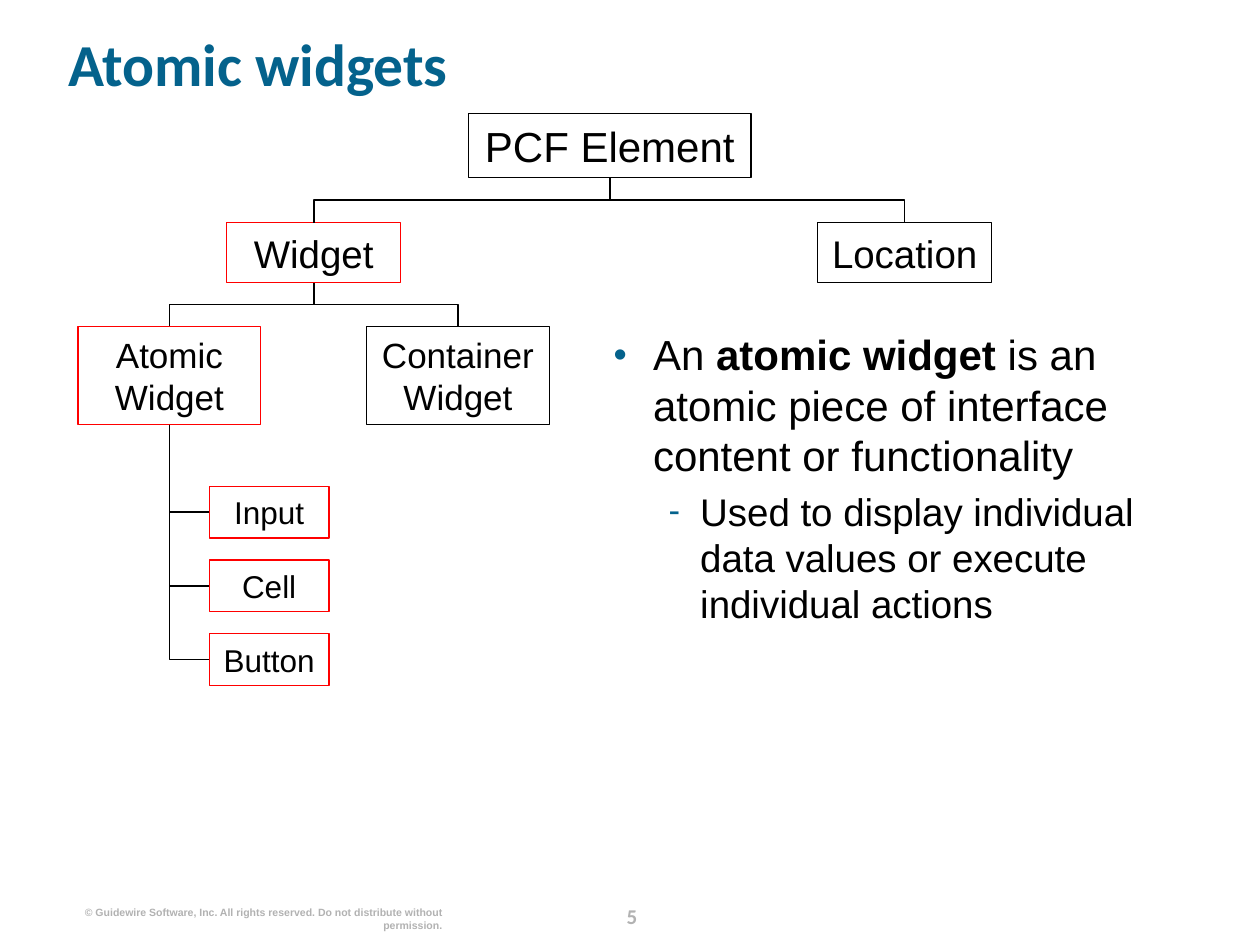
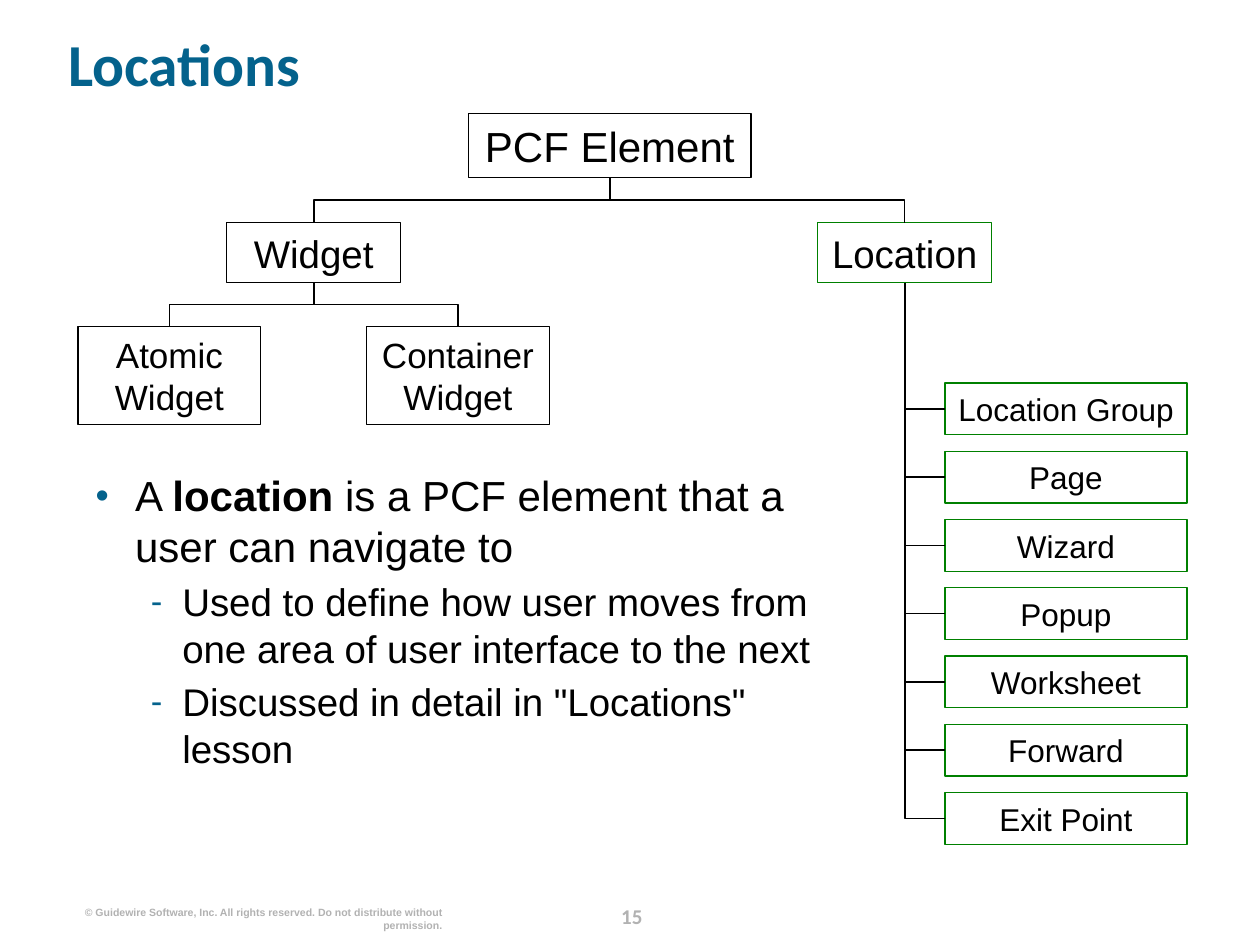
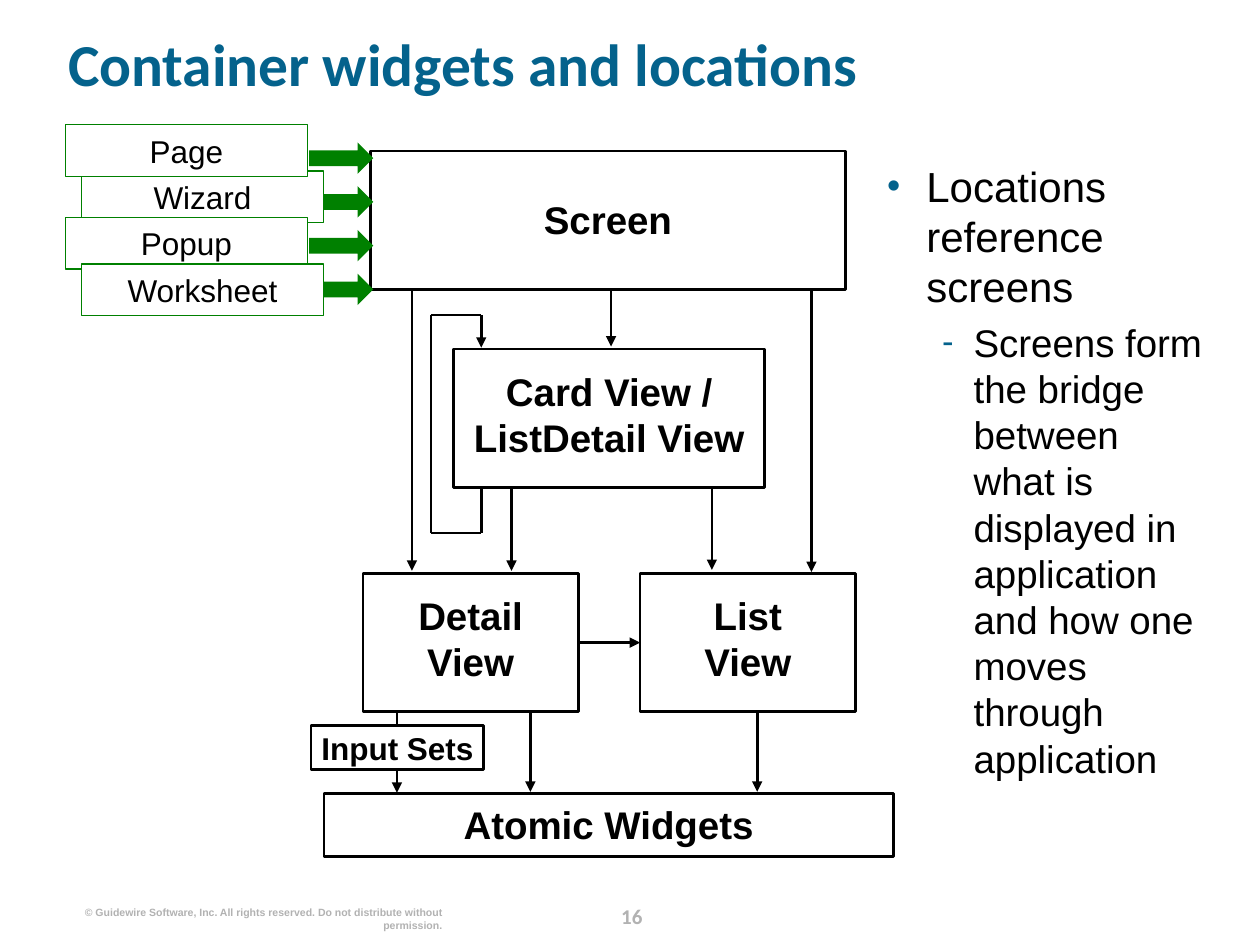
from lxml.etree import SubElement
from pptx import Presentation
from pptx.dml.color import RGBColor
from pptx.enum.shapes import MSO_CONNECTOR, MSO_SHAPE
from pptx.enum.text import MSO_ANCHOR, PP_ALIGN
from pptx.oxml.ns import qn
from pptx.shapes.connector import Connector
from pptx.util import Pt

BLACK, WHITE, RED, GREEN = "000000", "FFFFFF", "FF0000", "008000"
BLUE, GRAY = "04628C", "B2B2B2"
COPYRIGHT = ("© Guidewire Software, Inc. All rights reserved. "
             "Do not distribute without permission.")
color = RGBColor.from_string


def add_box(slide, text, place, size, outline=BLACK, bold=False, lift=0):
    """Add an outlined rectangle; lift raises its centred text by that many points."""
    shape = slide.shapes.add_shape(MSO_SHAPE.RECTANGLE, *map(Pt, place))
    shape.shadow.inherit = False
    shape.fill.background()
    shape.line.color.rgb = color(outline)
    shape.line.width = Pt(1.5 if bold else 0.75)
    frame = shape.text_frame
    frame.word_wrap = True
    frame.vertical_anchor = MSO_ANCHOR.MIDDLE
    frame.margin_left = frame.margin_right = Pt(1.5 if bold else 7.2)
    frame.margin_top = 0
    frame.margin_bottom = Pt(2 * lift)
    paragraph = frame.paragraphs[0]
    paragraph.text = text
    paragraph.alignment = PP_ALIGN.CENTER
    paragraph.font.name = "Arial"
    paragraph.font.size = Pt(size)
    paragraph.font.bold = bold
    paragraph.font.color.rgb = color(BLACK)
    return shape


def join_elbow(slide, parent, child, side):
    """Join the bottom of parent to a side of child, leaving downwards."""
    connector = slide.shapes.add_connector(MSO_CONNECTOR.ELBOW, 0, 0, 0, 0)
    connector.begin_connect(parent, 2)
    connector.end_connect(child, side)
    across = connector.end_x - connector.begin_x
    down = connector.end_y - connector.begin_y
    center_x = (connector.begin_x + connector.end_x) // 2
    center_y = (connector.begin_y + connector.end_y) // 2
    # A downward start is a horizontal elbow turned by a quarter.
    connector.left, connector.top = center_x - down // 2, center_y - abs(across) // 2
    connector.width, connector.height = down, abs(across)
    properties = connector._element.spPr
    transform = properties.find(qn("a:xfrm"))
    transform.attrib.clear()
    transform.set("rot", "5400000" if across < 0 else "16200000")
    if across >= 0:
        transform.set("flipH", "1")
    if side == 1:
        properties.find(qn("a:prstGeom")).set("prst", "bentConnector2")
    connector.line.width = Pt(1)


presentation = Presentation()
presentation.slide_width, presentation.slide_height = Pt(720), Pt(540)

# Title, number, body place, and body paragraphs as (level, text with |bold| parts)
pages = [
    ("Atomic widgets", "5", (350.64, 187.92, 344.88, 315.36), [
        (0, "An |atomic widget| is an atomic piece of interface content or functionality"),
        (1, "Used to display individual data values or execute individual actions")]),
    ("Locations", "15", (54.72, 268.56, 427.68, 234.72), [
        (0, "A |location| is a PCF element that a user can navigate to"),
        (1, "Used to define how user moves from one area of user interface to the next"),
        (1, 'Discussed in detail in "Locations" lesson')]),
    ("Container widgets and locations", "16", (506.88, 91.44, 184.32, 411.84), [
        (0, "Locations reference screens"),
        (1, "Screens form the bridge between what is displayed in application "
            "and how one moves through application")]),
]
# Bullet, left margin, hanging indent, font size, space before
levels = [("•", 22.5, 22.5, 24, 9.6), ("-", 49.5, 18, 22, 4.4)]

for title, number, body_place, body in pages:
    slide = presentation.slides.add_slide(presentation.slide_layouts[6])
    fixed_texts = [
        (number, (340.56, 512.5, 41.04, 18), "Calibri", 12, GRAY, PP_ALIGN.CENTER, Pt(18)),
        (COPYRIGHT, (43.92, 517.68, 208.8, 14.4), "Arial", 6, GRAY, PP_ALIGN.RIGHT, 1.0),
        (title, (38.88, 9.36, 655.2, 58.32), "Calibri", 34, BLUE, PP_ALIGN.LEFT, 0.9),
    ]
    for text, place, font, size, ink, alignment, spacing in fixed_texts:
        frame = slide.shapes.add_textbox(*map(Pt, place)).text_frame
        frame.margin_left = frame.margin_right = frame.margin_top = frame.margin_bottom = 0
        frame.word_wrap = True
        frame.vertical_anchor = MSO_ANCHOR.MIDDLE if text == title else MSO_ANCHOR.TOP
        paragraph = frame.paragraphs[0]
        paragraph.text = text
        paragraph.alignment = alignment
        paragraph.line_spacing = spacing
        paragraph.font.name = font
        paragraph.font.size = Pt(size)
        paragraph.font.bold = True
        paragraph.font.color.rgb = color(ink)

    frame = slide.shapes.add_textbox(*map(Pt, body_place)).text_frame
    frame.margin_left = frame.margin_right = frame.margin_top = frame.margin_bottom = 0
    frame.word_wrap = True
    for index, (level, text) in enumerate(body):
        bullet, margin, hanging, size, space = levels[level]
        paragraph = frame.add_paragraph() if index else frame.paragraphs[0]
        paragraph.level = level
        properties = paragraph._p.get_or_add_pPr()
        properties.set("marL", str(Pt(margin)))
        properties.set("indent", str(-Pt(hanging)))
        bullet_color = SubElement(properties, qn("a:buClr"))
        SubElement(bullet_color, qn("a:srgbClr"), val=BLUE)
        SubElement(properties, qn("a:buSzPct"), val="90000")
        SubElement(properties, qn("a:buFont"), typeface="Arial")
        SubElement(properties, qn("a:buChar"), char=bullet)
        if index:
            paragraph.space_before = Pt(space)
        paragraph.font.name = "Arial"
        paragraph.font.size = Pt(size)
        paragraph.font.color.rgb = color(BLACK)
        for part, words in enumerate(text.split("|")):
            run = paragraph.add_run()
            run.text = words
            if part % 2:
                run.font.bold = True

atomic_slide, locations_slide, container_slide = presentation.slides

# Element tree of the first two slides, with the highlighted branch in colour
tree = [
    ("PCF Element", None, (267.84, 64.8, 161.28, 36.72), 24),
    ("Widget", "PCF Element", (129.6, 127.2, 99.36, 34.4), 22),
    ("Location", "PCF Element", (467.28, 127.2, 99.36, 34.4), 22),
    ("Atomic Widget", "Widget", (44.64, 186.48, 104.4, 56.16), 20),
    ("Container Widget", "Widget", (209.52, 186.48, 104.4, 56.16), 20),
]
# Highlighted boxes, their colour, and the left, top, width and pitch of the leaves
branches = [
    (atomic_slide, ["Widget", "Atomic Widget"], RED,
     ["Input", "Cell", "Button"], (119.6, 277.9, 68.4, 42.1)),
    (locations_slide, ["Location"], GREEN,
     ["Location Group", "Page", "Wizard", "Popup", "Worksheet", "Forward", "Exit Point"],
     (540, 218.9, 138.24, 39)),
]
LEAF_HEIGHT = 29.5
for slide, highlighted, accent, leaves, (left, top, width, pitch) in branches:
    boxes = {}
    for name, parent, place, size in tree:
        outline = accent if name in highlighted else BLACK
        boxes[name] = add_box(slide, name, place, size, outline)
        if parent:
            join_elbow(slide, boxes[parent], boxes[name], 0)
    for row, leaf in enumerate(leaves):
        place = (left, top + row * pitch, width, LEAF_HEIGHT)
        box = add_box(slide, leaf, place, 18, accent)
        join_elbow(slide, boxes[highlighted[-1]], box, 1)

# Container diagram
containers = [
    ("Screen", (211.68, 86.4, 271.44, 79.2), 1),
    ("Card View / ListDetail View", (259.2, 199.44, 177.84, 79.2), 2.5),
    ("Detail\vView", (207.36, 327.6, 123.12, 79.2), 2.5),
    ("List\vView", (365.76, 327.6, 123.12, 79.2), 2.5),
    ("Atomic Widgets", (185.04, 453.6, 325.44, 36), 0.5),
]
views = [add_box(container_slide, name, place, 22, bold=True, lift=lift)
         for name, place, lift in containers]

# From x, from y, to x, to y, arrowhead
flows = [
    (226.8, 407, 226.8, 453, True),
    (303.1, 407, 303.1, 452.5, True),
    (432.7, 407, 432.7, 452.5, True),
    (292.3, 278.6, 292.3, 326.2, True),
    (406.8, 278.6, 406.8, 325.7, True),
    (349.2, 165.6, 349.2, 198, True),
    (235.4, 165.6, 235.4, 326.2, True),
    (463.7, 165.6, 463.7, 326.9, True),
    (275, 278.6, 275, 304.6, False),
    (275, 304.6, 246.2, 304.6, False),
    (246.2, 304.6, 246.2, 180, False),
    (246.2, 180, 275, 180, False),
    (275, 180, 275, 198.7, True),
    (330.48, 367.2, 365.76, 367.2, True),
]
for *ends, has_head in flows:
    connector = container_slide.shapes.add_connector(MSO_CONNECTOR.STRAIGHT, *map(Pt, ends))
    connector.line.width = Pt(1.5)
    if has_head:
        SubElement(connector.line._get_or_add_ln(), qn("a:tailEnd"), type="triangle")
# The last flow runs between the facing sides of Detail View and List View.
connector.begin_connect(views[2], 3)
connector.end_connect(views[3], 1)

input_sets = add_box(container_slide, "Input Sets", (177.84, 414.72, 98.64, 25.2), 18, bold=True)
input_sets.fill.solid()
input_sets.fill.fore_color.rgb = color(WHITE)

for row in range(4):
    arrow = container_slide.shapes.add_shape(
        MSO_SHAPE.RIGHT_ARROW, Pt(176.6), Pt(81.4 + 25 * row), Pt(36.7), Pt(18))
    arrow.shadow.inherit = False
    arrow.fill.solid()
    arrow.fill.fore_color.rgb = color(GREEN)
    arrow.line.fill.background()

for name, row in [("Wizard", 1), ("Popup", 2), ("Worksheet", 3), ("Page", 0)]:
    place = (46.6 if row % 2 else 37.4, 71.3 + 26.5 * row, 138.24, LEAF_HEIGHT)
    box = add_box(container_slide, name, place, 18, GREEN)
    box.fill.solid()
    box.fill.fore_color.rgb = color(WHITE)

for slide in presentation.slides:
    for shape in slide.shapes:
        if isinstance(shape, Connector):
            shape.line.color.rgb = color(BLACK)
            SubElement(shape._element.spPr, qn("a:effectLst"))

presentation.save("out.pptx")
